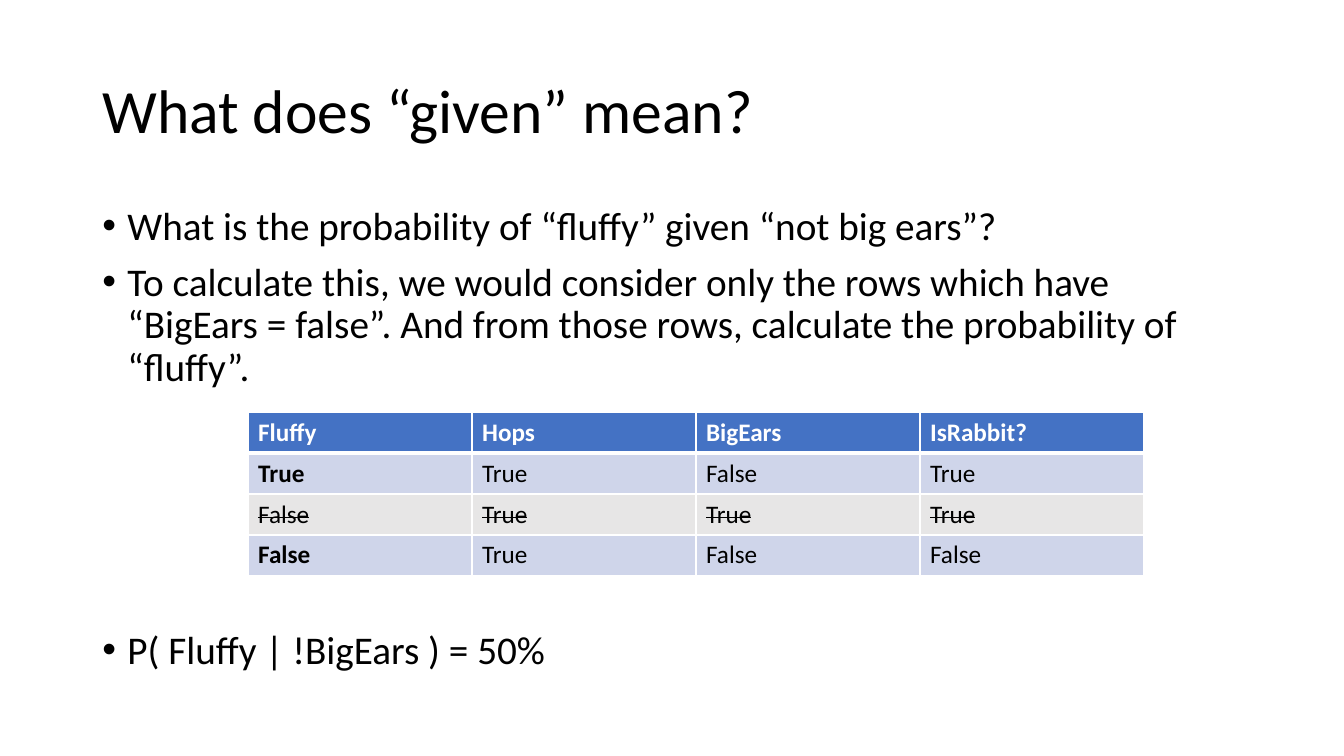
from lxml.etree import SubElement
from pptx import Presentation
from pptx.dml.color import RGBColor
from pptx.enum.text import MSO_ANCHOR
from pptx.oxml.ns import qn
from pptx.util import Pt

FONT = "Calibri"
HUES = {
    "ink": "000000",
    "white": "FFFFFF",
    "head": "4472C4",
    "odd": "CFD5EA",
    "even": "E7E6E6",
}
TITLE = "What does “given” mean?"
POINTS = [
    ("What is the probability of “fluffy” given “not big ears”?", 10),
    ("To calculate this, we would consider only the rows which have "
     "“BigEars = false”. And from those rows, calculate the probability "
     "of “fluffy”.", 10),
    ("P( Fluffy | !BigEars ) = 50%", 172),
]
ROWS = [
    ["Fluffy", "Hops", "BigEars", "IsRabbit?"],
    ["True", "True", "False", "True"],
    ["False", "True", "True", "True"],
    ["False", "True", "False", "False"],
]
STRUCK = 2


def style(para, size, hue="ink", bold=False, struck=False):
    for run in para.runs:
        run.font.name = FONT
        run.font.size = Pt(size)
        run.font.bold = bold
        run.font.color.rgb = RGBColor.from_string(HUES[hue])
        if struck:
            run._r.get_or_add_rPr().set("strike", "sngStrike")


def add_box(slide, top, high):
    box = slide.shapes.add_textbox(Pt(66), Pt(top), Pt(828), Pt(high))
    box.text_frame.word_wrap = True
    return box.text_frame


def add_title(slide):
    frame = add_box(slide, 28.75, 104.38)
    frame.vertical_anchor = MSO_ANCHOR.MIDDLE
    frame.text = TITLE
    para = frame.paragraphs[0]
    para.line_spacing = 0.9
    style(para, 44)


def add_list(slide):
    frame = add_box(slide, 143.75, 342.63)
    frame.text = "\n".join(text for text, gap in POINTS)
    for para, (text, gap) in zip(frame.paragraphs, POINTS):
        para.line_spacing = 0.9
        para.space_before = Pt(gap)
        style(para, 28)
        props = para._p.get_or_add_pPr()
        props.set("marL", str(Pt(18)))
        props.set("indent", str(-Pt(18)))
        SubElement(props, qn("a:buFont"), typeface="Arial")
        SubElement(props, qn("a:buChar"), char="•")


def add_edges(cell, row):
    props = cell._tc.get_or_add_tcPr()
    wide = {"T": 3 if row == 1 else 1, "B": 3 if row == 0 else 1}
    for side in "LRTB":
        line = SubElement(props, qn("a:ln" + side), w=str(Pt(wide.get(side, 1))))
        fill = SubElement(line, qn("a:solidFill"))
        SubElement(fill, qn("a:srgbClr"), val=HUES["white"])


def fill_cell(cell, text, row, col):
    add_edges(cell, row)
    band = "head" if row == 0 else "odd" if row % 2 else "even"
    cell.fill.solid()
    cell.fill.fore_color.rgb = RGBColor.from_string(HUES[band])
    cell.text_frame.text = text
    struck = row == STRUCK
    bold = row == 0 or (col == 0 and not struck)
    hue = "white" if row == 0 else "ink"
    style(cell.text_frame.paragraphs[0], 18, hue, bold, struck)


def add_grid(slide):
    count, width = len(ROWS), len(ROWS[0])
    table = slide.shapes.add_table(
        count, width, Pt(177.2), Pt(294.5), Pt(160 * width), Pt(29.2 * count)
    ).table
    for row, texts in enumerate(ROWS):
        for col, text in enumerate(texts):
            fill_cell(table.cell(row, col), text, row, col)


def main():
    deck = Presentation()
    deck.slide_width, deck.slide_height = Pt(960), Pt(540)
    slide = deck.slides.add_slide(deck.slide_layouts[6])
    add_title(slide)
    add_list(slide)
    add_grid(slide)
    deck.save("out.pptx")


if __name__ == "__main__":
    main()
